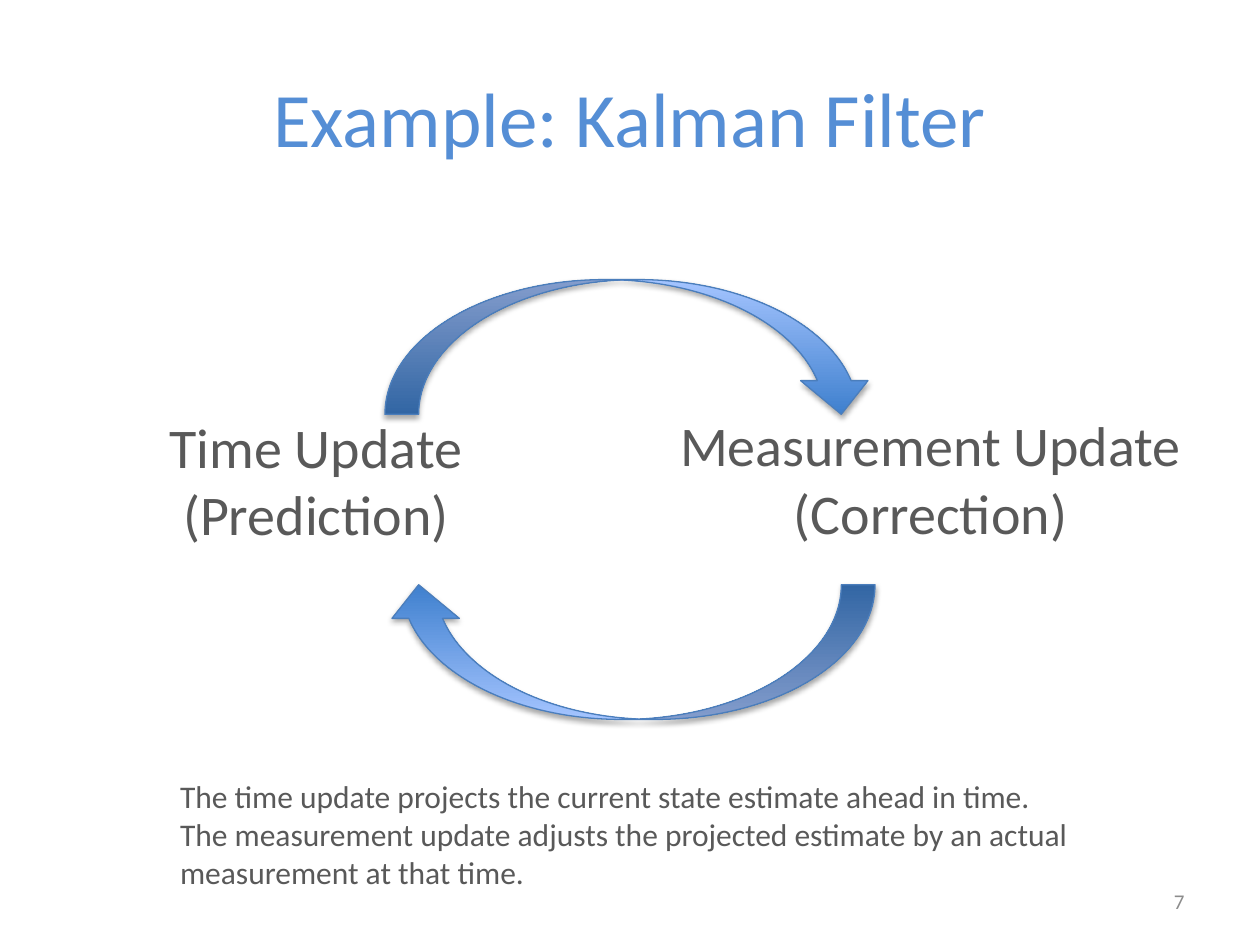
from lxml.etree import SubElement
from pptx import Presentation
from pptx.dml.color import RGBColor
from pptx.enum.shapes import MSO_SHAPE
from pptx.enum.text import MSO_ANCHOR, MSO_AUTO_SIZE, PP_ALIGN
from pptx.oxml.ns import qn
from pptx.util import Pt

GREY = "595959"


def colour(value):
    return RGBColor.from_string(value)


def place(shape, box):
    for name, value in zip(("left", "top", "width", "height"), box):
        setattr(shape, name, Pt(value))


def write(shape, text, size, text_colour, alignment, **frame_format):
    frame = shape.text_frame
    frame.text = text
    for name, value in frame_format.items():
        setattr(frame, name, value)
    for paragraph in frame.paragraphs:
        paragraph.alignment = alignment
        for run in paragraph.runs:
            for name, value in {"name": "Calibri", "size": Pt(size)}.items():
                setattr(run.font, name, value)
            run.font.color.rgb = colour(text_colour)


def add_title(slide, box, text):
    title = slide.shapes.title
    place(title, box)
    write(title, text, 44, "558ED5", PP_ALIGN.CENTER,
          vertical_anchor=MSO_ANCHOR.MIDDLE)


def add_text(slide, box, text, size, text_colour, alignment, **frame_format):
    shape = slide.shapes.add_textbox(*map(Pt, box))
    write(shape, text, size, text_colour, alignment, **frame_format)


def add_shadow(shape):
    shape.shadow.inherit = False
    effects = shape._element.spPr.find(qn("a:effectLst"))
    shadow = SubElement(effects, qn("a:outerShdw"), blurRad=str(Pt(3.1)),
                        dist=str(Pt(1.8)), dir="5400000", rotWithShape="0")
    black = SubElement(shadow, qn("a:srgbClr"), val="000000")
    SubElement(black, qn("a:alpha"), val="35000")


def add_cycle_arrow(slide, box, rotation):
    arrow = slide.shapes.add_shape(MSO_SHAPE.CURVED_DOWN_ARROW, *map(Pt, box))
    arrow.rotation = rotation
    arrow.fill.gradient()
    arrow.fill.gradient_angle = 90
    for stop, position, value in zip(arrow.fill.gradient_stops, (0, 1),
                                     ("3F80CE", "A4C4FF")):
        stop.position = position
        stop.color.rgb = colour(value)
    arrow.line.color.rgb = colour("4B7EBC")
    arrow.line.width = Pt(0.75)
    add_shadow(arrow)


def add_cycle(slide, box):
    left, top, width, height = box
    arrow_height = 77
    steps = (
        ("Time Update\n(Prediction)", -131.5, 72.4, 184.3),
        ("Measurement Update\n(Correction)", 159.5, 71.5, 304.6),
    )
    for text, offset_x, offset_y, step_width in steps:
        add_text(slide, (left + offset_x, top + offset_y, step_width, 85),
                 text, 32, GREY, PP_ALIGN.CENTER, word_wrap=False,
                 auto_size=MSO_AUTO_SIZE.SHAPE_TO_FIT_TEXT)
    for arrow_top, rotation in ((top, 0), (top + height - arrow_height, 180)):
        add_cycle_arrow(slide, (left, arrow_top, width, arrow_height), rotation)


def main():
    presentation = Presentation()
    presentation.slide_width, presentation.slide_height = Pt(720), Pt(540)
    slide = presentation.slides.add_slide(presentation.slide_layouts[5])
    add_title(slide, (36, 21.6, 648, 90), "Example: Kalman Filter")
    add_text(slide, (516, 500.5, 168, 28.75), "7", 12, "8C8C8C",
             PP_ALIGN.RIGHT, word_wrap=True, vertical_anchor=MSO_ANCHOR.MIDDLE)
    add_cycle(slide, (220, 159.8, 280, 251.3))
    add_text(slide, (95.8, 440.6, 529.2, 72.7),
             "The time update projects the current state estimate ahead in time.\v"
             "The measurement update adjusts the projected estimate by an actual "
             "measurement at that time.",
             18, GREY, PP_ALIGN.LEFT, word_wrap=True,
             auto_size=MSO_AUTO_SIZE.SHAPE_TO_FIT_TEXT)
    presentation.save("out.pptx")


if __name__ == "__main__":
    main()
